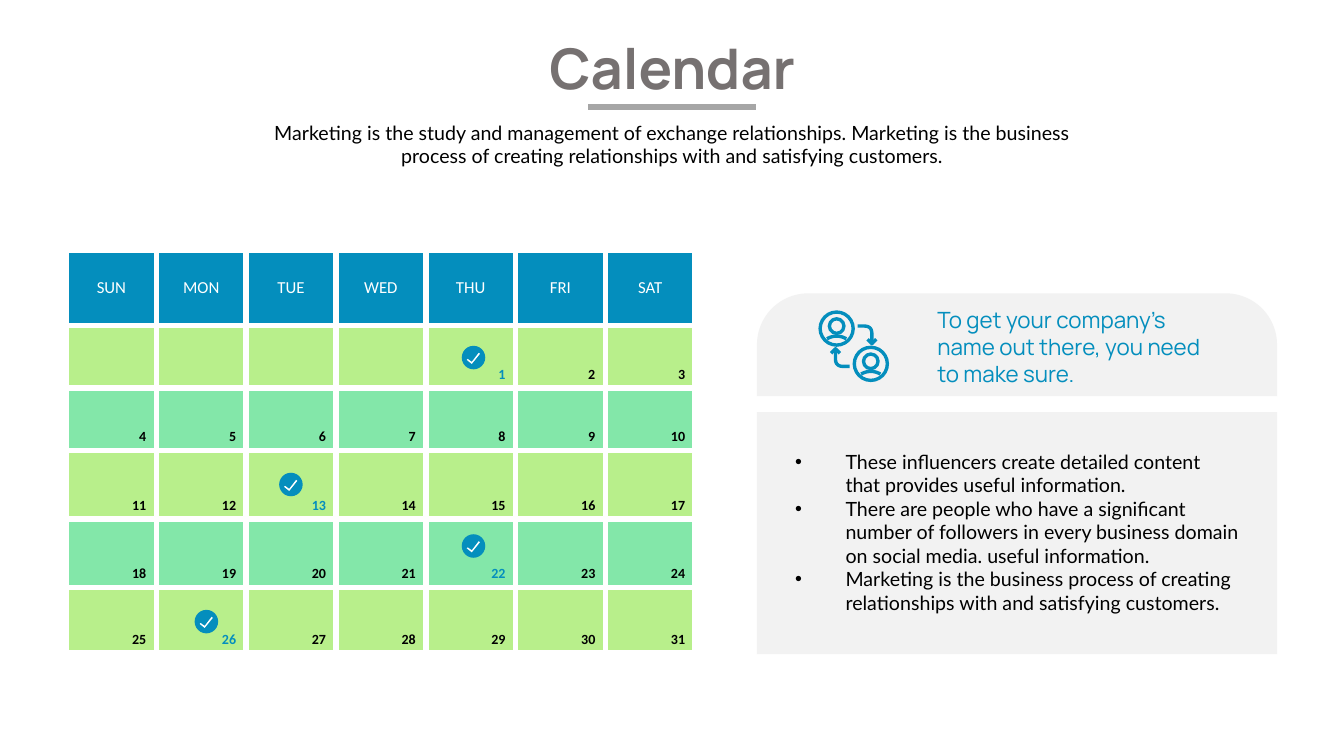
from lxml.etree import SubElement
from pptx import Presentation
from pptx.dml.color import RGBColor
from pptx.enum.shapes import MSO_CONNECTOR, MSO_SHAPE
from pptx.enum.text import MSO_ANCHOR, MSO_AUTO_SIZE, PP_ALIGN
from pptx.oxml import parse_xml
from pptx.oxml.ns import nsdecls, qn
from pptx.util import Pt

# Content
TITLE = "Calendar"
INTRO = ("Marketing is the study and management of exchange relationships. "
         "Marketing is the business process of creating relationships with "
         "and satisfying customers.")
CALLOUT = "To get your company’s name out there, you need to make sure."
POINTS = [
    "These influencers create detailed content that provides useful information.",
    "There are people who have a significant number of followers in every "
    "business domain on social media. useful information.",
    "Marketing is the business process of creating relationships with and "
    "satisfying customers.",
]
WEEKDAYS = ["SUN", "MON", "TUE", "WED", "THU", "FRI", "SAT"]
FIRST_COLUMN = 4
DAYS_IN_MONTH = 31
# Marked day: left and top of its check badge
MARKED = {13: (199.4, 337.7), 26: (139, 435.6), 22: (329.8, 381.6), 1: (329.8, 247)}

# Style
BLUE, GREY, PANEL = "048EBD", "767171", "F2F2F2"
BLACK, WHITE, RULE = "000000", "FFFFFF", "A6A6A6"
WEEK_FILLS = ["73E019", "09D054"]
ROW_HEIGHTS = [54, 44.6, 44.6, 49, 49, 46.8]
COLUMN_WIDTH = 64.15
BADGE = 16.8
TICK = [(12.2, 5), (13, 5.8), (7.2, 13), (3.6, 10.1), (4.3, 9.4), (7.2, 11.5)]
ICON_CENTRE = (609.8, 247.3)
ICON_LINE = 2.4

prs = Presentation()
prs.slide_width, prs.slide_height = Pt(960), Pt(540)
slide = prs.slides.add_slide(prs.slide_layouts[6])
shapes = slide.shapes


def color(hex_code):
    return RGBColor.from_string(hex_code)


def add_run(paragraph, text, size, font, hex_code, bold=False):
    run = paragraph.add_run()
    run.text = text
    run.font.size, run.font.name, run.font.bold = Pt(size), font, bold
    run.font.color.rgb = color(hex_code)


def add_text(box, texts, size, font, hex_code, align=PP_ALIGN.LEFT, bold=False, wrap=True):
    frame = shapes.add_textbox(*map(Pt, box)).text_frame
    frame.word_wrap = wrap
    frame.auto_size = MSO_AUTO_SIZE.SHAPE_TO_FIT_TEXT
    for index, text in enumerate(texts):
        paragraph = frame.add_paragraph() if index else frame.paragraphs[0]
        paragraph.alignment = align
        add_run(paragraph, text, size, font, hex_code, bold)
    return frame


def paint(shape, fill=None, line=None, width=ICON_LINE):
    shape.shadow.inherit = False
    if fill:
        shape.fill.solid()
        shape.fill.fore_color.rgb = color(fill)
    else:
        shape.fill.background()
    if line:
        shape.line.color.rgb, shape.line.width = color(line), Pt(width)
    else:
        shape.line.fill.background()


def add_preset(preset, box, **style):
    shape = shapes.add_shape(preset, *map(Pt, box))
    paint(shape, **style)
    return shape


def add_outline(points, close=False, **style):
    corners = [(Pt(x), Pt(y)) for x, y in points]
    builder = shapes.build_freeform(*corners[0], scale=1.0)
    builder.add_line_segments(corners[1:], close=close)
    paint(builder.convert_to_shape(), **style)


def curve(start, control, end, steps=12):
    times = [step / steps for step in range(steps + 1)]
    return [tuple((1 - t) ** 2 * a + 2 * t * (1 - t) * b + t * t * c
                  for a, b, c in zip(start, control, end)) for t in times]


def add_ring(x, y, radius):
    add_preset(MSO_SHAPE.OVAL, (x - radius, y - radius, 2 * radius, 2 * radius), line=BLUE)


def style_cell(cell, fill, alpha):
    cell.fill.solid()
    cell.fill.fore_color.rgb = color(fill)
    properties = cell._tc.get_or_add_tcPr()
    if alpha < 100:
        tint = properties.find(qn("a:solidFill"))[0]
        SubElement(tint, qn("a:alpha"), val=str(alpha * 1000))
    for index, side in enumerate("LRTB"):
        properties.insert(index, parse_xml(
            f'<a:ln{side} {nsdecls("a")} w="{Pt(4.5)}"><a:solidFill>'
            f'<a:srgbClr val="{WHITE}"/></a:solidFill></a:ln{side}>'))


# Heading
add_text((375.8, 20.2, 208.8, 55.4), [TITLE], 40, "Manrope", GREY,
         PP_ALIGN.CENTER, bold=True, wrap=False)
add_text((170.6, 82.8, 619.2, 41), [INTRO], 14, "Lato", BLACK, PP_ALIGN.CENTER)
underline = shapes.add_connector(MSO_CONNECTOR.STRAIGHT, Pt(420.2), Pt(76.3), Pt(540), Pt(76.3))
underline.line.color.rgb, underline.line.width = color(RULE), Pt(4.25)
SubElement(underline._element.spPr, qn("a:effectLst"))

# Panel with bullets
add_preset(MSO_SHAPE.RECTANGLE, (540.7, 294.5, 371.5, 172.8), fill=PANEL)
bullets = add_text((560.9, 317.5, 331.2, 126), POINTS, 14, "Lato", BLACK)
for paragraph in bullets.paragraphs:
    properties = paragraph._p.get_or_add_pPr()
    properties.set("marL", str(Pt(36)))
    properties.set("indent", str(Pt(-36)))
    SubElement(properties, qn("a:buFont"), typeface="Arial")
    SubElement(properties, qn("a:buChar"), char="•")

# Calendar table
calendar = shapes.add_table(len(ROW_HEIGHTS), len(WEEKDAYS), Pt(47.5), Pt(178.6),
                            Pt(COLUMN_WIDTH * len(WEEKDAYS)), Pt(sum(ROW_HEIGHTS))).table
calendar.first_row = calendar.horz_banding = False
for column in calendar.columns:
    column.width = Pt(COLUMN_WIDTH)
for row, height in zip(calendar.rows, ROW_HEIGHTS):
    row.height = Pt(height)

for column, weekday in enumerate(WEEKDAYS):
    cell = calendar.cell(0, column)
    style_cell(cell, BLUE, 100)
    cell.vertical_anchor = MSO_ANCHOR.MIDDLE
    heading = cell.text_frame.paragraphs[0]
    heading.alignment = PP_ALIGN.CENTER
    add_run(heading, weekday, 12, "Calibri", WHITE)
    for week in range(len(ROW_HEIGHTS) - 1):
        cell = calendar.cell(week + 1, column)
        style_cell(cell, WEEK_FILLS[week % 2], 50)
        day = week * len(WEEKDAYS) + column - FIRST_COLUMN + 1
        if 1 <= day <= DAYS_IN_MONTH:
            cell.vertical_anchor = MSO_ANCHOR.BOTTOM
            date = cell.text_frame.paragraphs[0]
            date.alignment = PP_ALIGN.RIGHT
            add_run(date, str(day), 10, "Calibri", BLUE if day in MARKED else BLACK, True)

# Check badges
for left, top in MARKED.values():
    add_preset(MSO_SHAPE.OVAL, (left, top, BADGE, BADGE), fill=BLUE)
    add_outline([(left + x, top + y) for x, y in TICK], close=True, fill=WHITE)

# Callout
tab = add_preset(MSO_SHAPE.ROUND_2_SAME_RECTANGLE, (540.7, 209.5, 371.5, 73.4), fill=PANEL)
tab.adjustments[0], tab.adjustments[1] = 0.5, 0
add_text((662.4, 215.3, 202.3, 65.5), [CALLOUT], 16, "Manrope", BLUE)

# Exchange icon: two people and two arrows, each pair turned by half a circle
arrow_shaft = [(2.9, -14.4)] + curve((7.5, -14.4), (13, -14.4), (13, -9)) + [(13, -1.8)]
arrow_tip = [(9.9, -5), (13, -1.8), (16.1, -5)]
shoulders = curve((-6.9, 7.3), (0, 3.5), (6.9, 7.3))
centre_x, centre_y = ICON_CENTRE
for turn in (1, -1):
    person_x, person_y = centre_x - 12.2 * turn, centre_y - 12.6 * turn
    add_ring(person_x, person_y, 11.8)
    add_ring(person_x, person_y - 1.8, 5.2)
    add_outline([(person_x + x, person_y + y) for x, y in shoulders], line=BLUE)
    for stroke in (arrow_shaft, arrow_tip):
        add_outline([(centre_x + turn * x, centre_y + turn * y) for x, y in stroke], line=BLUE)

prs.save("out.pptx")
